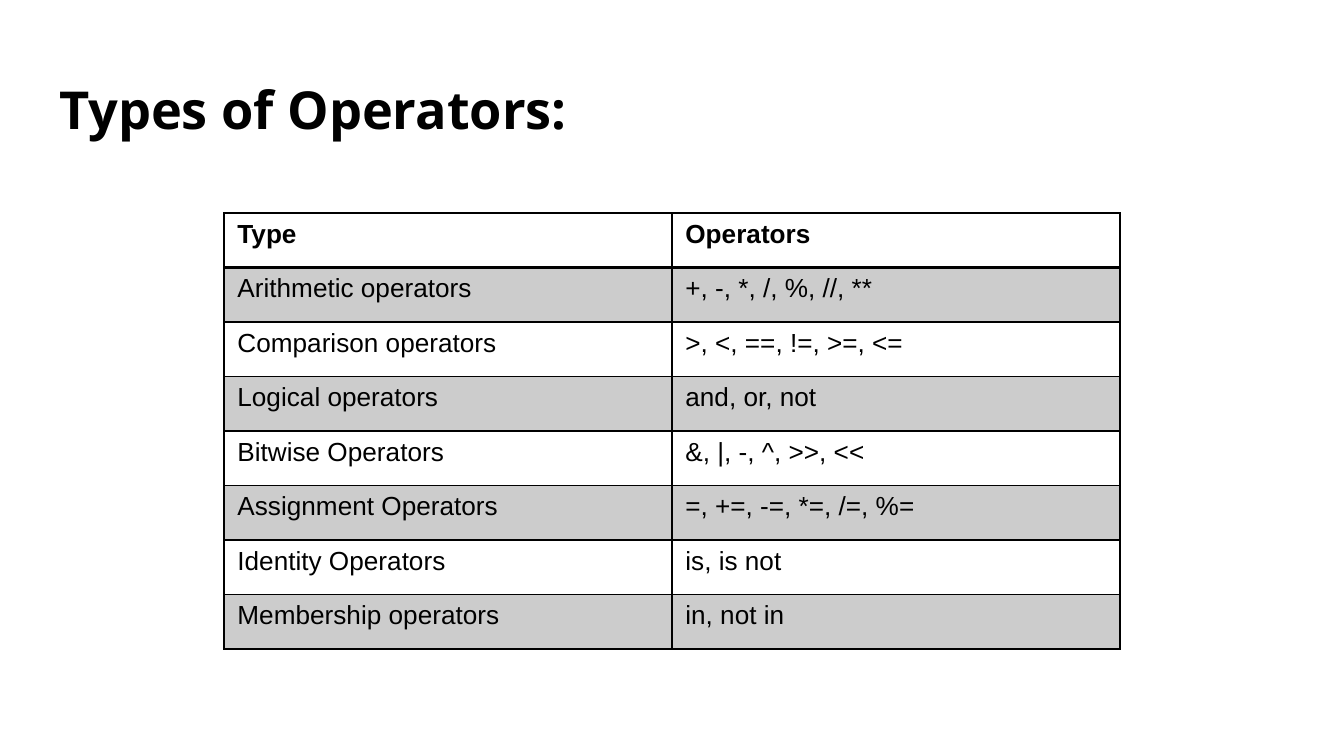
from typing import NamedTuple

from lxml import etree
from pptx import Presentation
from pptx.dml.color import RGBColor
from pptx.enum.text import MSO_ANCHOR, PP_ALIGN
from pptx.oxml.ns import qn
from pptx.util import Pt

MIDDLE = MSO_ANCHOR.MIDDLE
LEFT = PP_ALIGN.LEFT
TITLE_ONLY = 5

BLACK = "000000"
BAND_OPACITY = 20
ROW_HEIGHT = 29.2
COLUMN_WIDTH = 240


class OperatorRow(NamedTuple):
    kind: str
    operators: str


ROWS = [
    OperatorRow("Type", "Operators"),
    OperatorRow("Arithmetic operators", "+, -, *, /, %, //, **"),
    OperatorRow("Comparison operators", ">, <, ==, !=, >=, <="),
    OperatorRow("Logical operators", "and, or, not"),
    OperatorRow("Bitwise Operators", "&, |, -, ^, >>, <<"),
    OperatorRow("Assignment Operators", "=, +=, -=, *=, /=, %="),
    OperatorRow("Identity Operators", "is, is not"),
    OperatorRow("Membership operators", "in, not in"),
]


def color(value: str) -> RGBColor:
    return RGBColor.from_string(value)


def style_font(paragraph, name: str, size: float, bold: bool) -> None:
    font = paragraph.font
    font.name, font.size, font.bold = name, Pt(size), bold
    font.color.rgb = color(BLACK)


def add_border(cell, side: str, width: float) -> None:
    """Draw one edge of a cell; side is L, R, T or B."""
    properties = cell._tc.get_or_add_tcPr()
    line = etree.SubElement(properties, qn(f"a:ln{side}"), w=str(Pt(width)))
    fill = etree.SubElement(line, qn("a:solidFill"))
    etree.SubElement(fill, qn("a:srgbClr"), val=BLACK)


def fill_band(cell) -> None:
    """Fill a cell with translucent black."""
    cell.fill.solid()
    cell.fill.fore_color.rgb = color(BLACK)
    shade = cell._tc.tcPr.find(f"{qn('a:solidFill')}/{qn('a:srgbClr')}")
    etree.SubElement(shade, qn("a:alpha"), val=str(BAND_OPACITY * 1000))


def add_title(slide, text: str) -> None:
    title = slide.shapes.title
    title.left, title.top = Pt(24.5), Pt(35.3)
    title.width, title.height = Pt(671), Pt(45.4)
    frame = title.text_frame
    frame.text = text
    frame.vertical_anchor = MIDDLE
    frame.margin_left = frame.margin_right = Pt(7.2)
    frame.margin_top = frame.margin_bottom = Pt(7.2)
    paragraph = frame.paragraphs[0]
    paragraph.alignment = LEFT
    style_font(paragraph, "Open Sans", 28, True)


def add_operator_table(slide, rows: list[OperatorRow]) -> None:
    columns = len(OperatorRow._fields)
    table = slide.shapes.add_table(
        len(rows), columns, Pt(120), Pt(114),
        Pt(columns * COLUMN_WIDTH), Pt(len(rows) * ROW_HEIGHT),
    ).table
    table.horz_banding = False
    for row_index, row in enumerate(rows):
        table.rows[row_index].height = Pt(ROW_HEIGHT)
        for column_index, text in enumerate(row):
            cell = table.cell(row_index, column_index)
            cell.text = text
            is_header = row_index == 0
            style_font(cell.text_frame.paragraphs[0], "Arial", 14, is_header)
            for side in "LRTB":
                below_header = (row_index, side) in ((0, "B"), (1, "T"))
                add_border(cell, side, 2 if below_header else 1)
            if row_index % 2:
                fill_band(cell)
            else:
                cell.fill.background()


def main() -> None:
    deck = Presentation()
    deck.slide_width, deck.slide_height = Pt(720), Pt(405)
    slide = deck.slides.add_slide(deck.slide_layouts[TITLE_ONLY])
    add_operator_table(slide, ROWS)
    add_title(slide, "Types of Operators:")
    deck.save("out.pptx")


if __name__ == "__main__":
    main()
